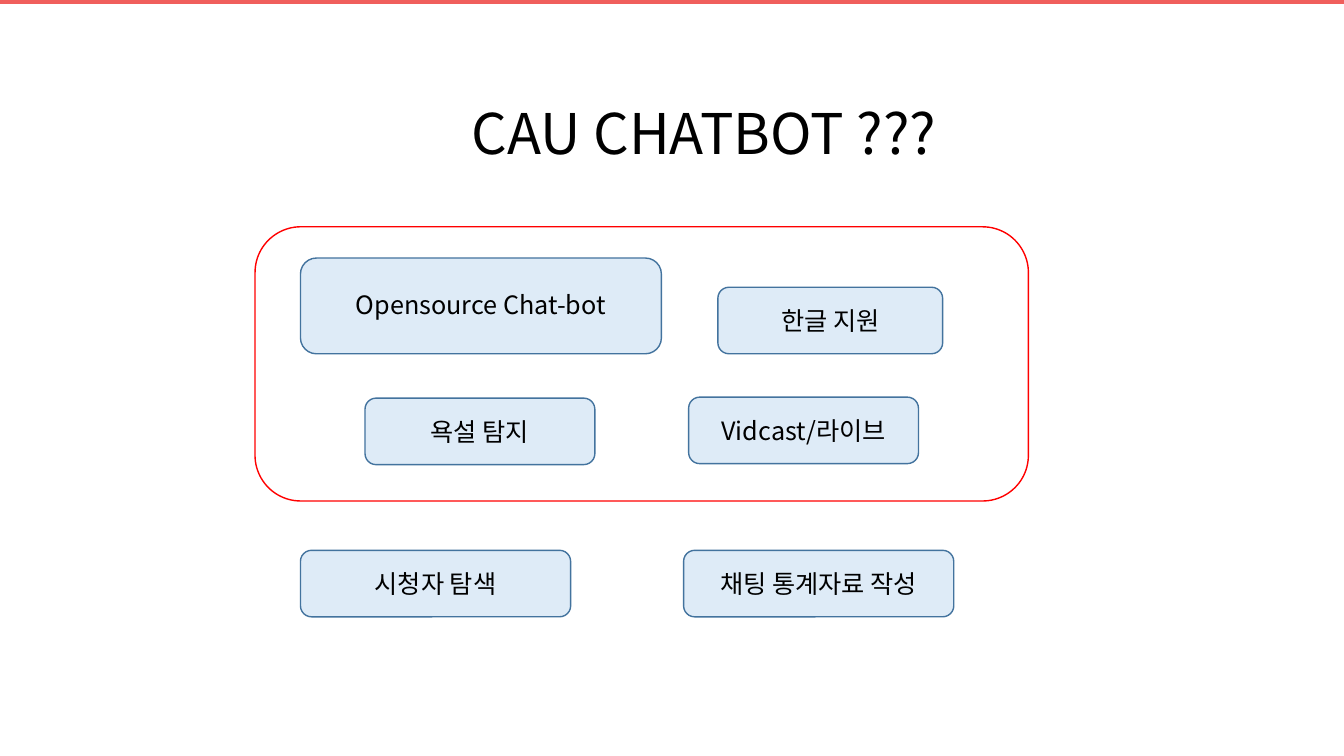
from lxml import etree
from pptx import Presentation
from pptx.dml.color import RGBColor
from pptx.enum.shapes import MSO_SHAPE
from pptx.enum.text import MSO_ANCHOR, PP_ALIGN
from pptx.oxml.ns import qn
from pptx.util import Inches, Pt

RECT, ROUNDED = MSO_SHAPE.RECTANGLE, MSO_SHAPE.ROUNDED_RECTANGLE
LEFT, CENTER = PP_ALIGN.LEFT, PP_ALIGN.CENTER
TOP, MIDDLE = MSO_ANCHOR.TOP, MSO_ANCHOR.MIDDLE
WIDTH, HEIGHT = 13.33, 7.5
FONT = "Noto Sans CJK KR"
ROW_HEIGHT = 0.66


def color(hex_code):
    """Turn a hex string into a colour."""
    return RGBColor.from_string(hex_code)


def write(holder, words, size, align, anchor, spacing=1.0):
    """Put one formatted line of text in a shape."""
    frame = holder.text_frame
    frame.word_wrap = True
    frame.vertical_anchor = anchor
    line = frame.paragraphs[0]
    line.alignment = align
    line.line_spacing = spacing
    run = line.add_run()
    run.text = words
    run.font.size = Pt(size)
    run.font.name = FONT
    run.font.color.rgb = color("000000")
    east_asian = etree.SubElement(run.font._element, qn("a:ea"))
    east_asian.set("typeface", FONT)


def add_panel(slide, kind, box, fill, outline=None):
    """Draw a flat filled shape in the given box."""
    panel = slide.shapes.add_shape(kind, *map(Inches, box))
    panel.shadow.inherit = False
    panel.fill.solid()
    panel.fill.fore_color.rgb = color(fill)
    if outline:
        panel.line.color.rgb = color(outline)
        panel.line.width = Pt(1)
    else:
        panel.line.fill.background()
    return panel


def add_heading(slide, box):
    """Move the title placeholder into the box and fill it."""
    heading = slide.shapes.title
    heading.left, heading.top, heading.width, heading.height = map(Inches, box)
    write(heading, "CAU CHATBOT ???", 40, LEFT, TOP)


def add_features(slide, box, features):
    """Place feature labels relative to the top left of the box."""
    left, top = box[:2]
    for words, x, y, width, height, spacing in features:
        feature = add_panel(slide, ROUNDED, (left + x, top + y, width, height),
                            "DEEBF7", "43739E")
        write(feature, words, 18, CENTER, MIDDLE, spacing)


def add_core(slide, box):
    """Draw the framed group of core features."""
    add_panel(slide, ROUNDED, box, "FFFFFF", "FF0000")
    add_features(slide, box, [
        ("Opensource Chat-bot", 0.45, 0.31, 3.58, 0.95, 0.9),
        ("한글 지원", 4.59, 0.6, 2.23, ROW_HEIGHT, 1.0),
        ("욕설 탐지", 1.09, 1.7, 2.28, ROW_HEIGHT, 1.0),
        ("Vidcast/라이브", 4.3, 1.69, 2.28, ROW_HEIGHT, 1.0),
    ])


def add_extras(slide, box):
    """Draw the row of extra features, one at each end of the box."""
    width = 2.68
    add_features(slide, box, [
        ("시청자 탐색", 0, 0, width, ROW_HEIGHT, 1.0),
        ("채팅 통계자료 작성", box[2] - width, 0, width, ROW_HEIGHT, 1.0),
    ])


def main():
    """Build and save the slide."""
    deck = Presentation()
    deck.slide_width, deck.slide_height = Inches(WIDTH), Inches(HEIGHT)
    slide = deck.slides.add_slide(deck.slide_layouts[5])
    add_panel(slide, RECT, (0, 0, WIDTH, 0.04), "F05F5C")
    add_heading(slide, (4.58, 0.93, 5.38, 0.78))
    add_core(slide, (2.53, 2.25, 7.67, 2.72))
    add_extras(slide, (2.98, 5.46, 6.48, ROW_HEIGHT))
    deck.save("out.pptx")


if __name__ == "__main__":
    main()
